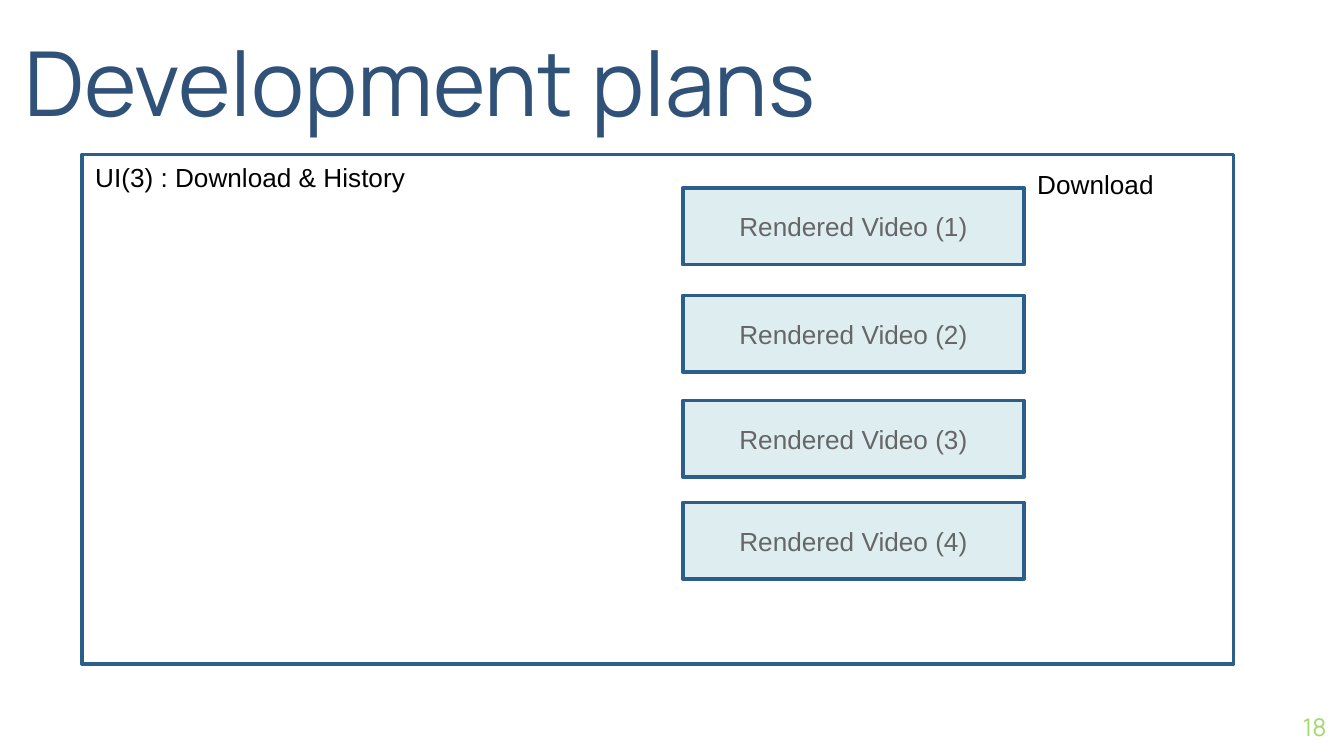
import pptx
import pptx.util
import pptx.dml.color
import pptx.enum.shapes
import pptx.enum.text

Pt = pptx.util.Pt
Align = pptx.enum.text.PP_ALIGN
Anchor = pptx.enum.text.MSO_ANCHOR
Fit = pptx.enum.text.MSO_AUTO_SIZE


def color(code):
    """Turn a hex string into a colour."""
    return pptx.dml.color.RGBColor.from_string(code)


def write(shape, text, size, face, ink, align=Align.LEFT):
    """Set the text of a shape and format its runs."""
    frame = shape.text_frame
    frame.text = text
    line = frame.paragraphs[0]
    line.alignment = align
    for run in line.runs:
        run.font.size = Pt(size)
        run.font.name = face
        run.font.color.rgb = color(ink)


def strip(frame, anchor):
    """Remove the margins of a text frame and anchor its text."""
    frame.margin_left = frame.margin_right = 0
    frame.margin_top = frame.margin_bottom = 0
    frame.vertical_anchor = anchor
    frame.word_wrap = True
    frame.auto_size = Fit.NONE


def head(slide, text):
    """Place the slide title."""
    title = slide.shapes.title
    title.left, title.top = Pt(13), Pt(4.3)
    title.width, title.height = Pt(496), Pt(67.7)
    write(title, text, 48, "Manrope", "305178")
    strip(title.text_frame, Anchor.BOTTOM)


def number(slide, text):
    """Place the page number."""
    box = slide.shapes.add_textbox(Pt(667.4), Pt(373.7), Pt(43.2), Pt(31))
    write(box, text, 13, "Manrope", "A7D86D", Align.RIGHT)
    strip(box.text_frame, Anchor.MIDDLE)


def label(slide, text, left, top, width):
    """Add a one-line label that fits its text."""
    box = slide.shapes.add_textbox(Pt(left), Pt(top), Pt(width), Pt(24.5))
    box.text_frame.word_wrap = False
    box.text_frame.auto_size = Fit.SHAPE_TO_FIT_TEXT
    write(box, text, 14, "Arial", "000000")


def panel(slide, left, top, width, height, fill=None):
    """Add an outlined rectangle, filled if a colour is given."""
    kind = pptx.enum.shapes.MSO_SHAPE.RECTANGLE
    shape = slide.shapes.add_shape(
        kind, Pt(left), Pt(top), Pt(width), Pt(height))
    shape.shadow.inherit = False
    shape.line.color.rgb = color("2B5F8A")
    shape.line.width = Pt(2)
    if fill:
        shape.fill.solid()
        shape.fill.fore_color.rgb = color(fill)
    else:
        shape.fill.background()
    return shape


def video(slide, index, top):
    """Add the box of one rendered video."""
    box = panel(slide, 365.8, top, 182.9, 41, "DDEDF0")
    box.text_frame.vertical_anchor = Anchor.MIDDLE
    write(box, f"Rendered Video ({index})", 14, "Arial", "666666", Align.CENTER)


def main():
    """Build the slide and save it."""
    deck = pptx.Presentation()
    deck.slide_width, deck.slide_height = Pt(720), Pt(405)
    slide = deck.slides.add_slide(deck.slide_layouts[5])
    number(slide, "18")
    head(slide, "Development plans")
    panel(slide, 43.9, 82.8, 617, 272.9)
    label(slide, "UI(3) : Download & History", 43.9, 82.8, 181.4)
    label(slide, "Download", 548.6, 86.6, 77)
    for index, top in enumerate((100.8, 158.4, 214.6, 269.3), 1):
        video(slide, index, top)
    deck.save("out.pptx")


if __name__ == "__main__":
    main()
